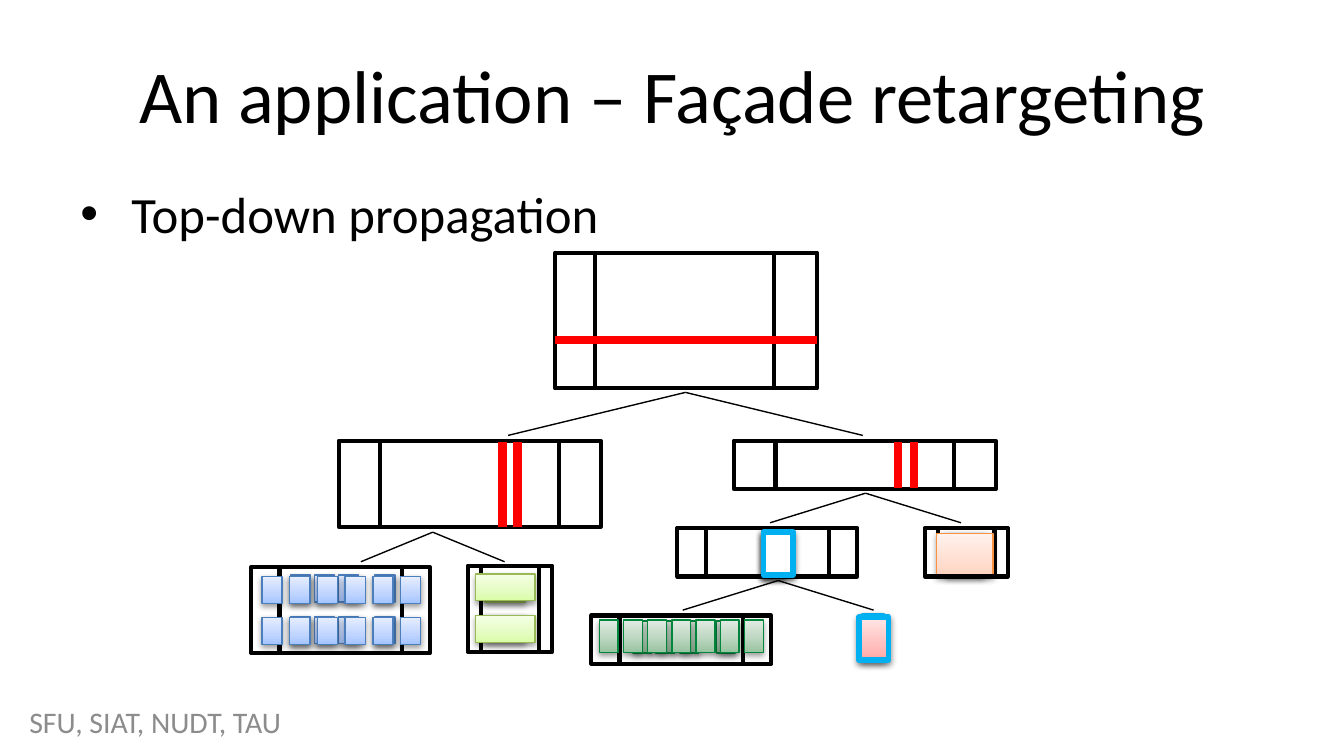
from lxml import etree
from pptx import Presentation
from pptx.dml.color import RGBColor
from pptx.enum.shapes import MSO_CONNECTOR, MSO_SHAPE
from pptx.enum.text import MSO_ANCHOR, PP_ALIGN
from pptx.oxml import parse_xml
from pptx.oxml.ns import nsdecls, qn
from pptx.util import Inches, Pt

RECTANGLE = MSO_SHAPE.RECTANGLE
STRAIGHT = MSO_CONNECTOR.STRAIGHT
LEFT, CENTER = PP_ALIGN.LEFT, PP_ALIGN.CENTER
TOP, MIDDLE = MSO_ANCHOR.TOP, MSO_ANCHOR.MIDDLE
color = RGBColor.from_string

deck = Presentation()
deck.slide_width = Inches(10)
deck.slide_height = deck.slide_width * 9 // 16
page = deck.slides.add_slide(deck.slide_layouts[6])

# Grid of 100 columns; rows are as tall as columns are wide
COLUMN = ROW = deck.slide_width / 100

# Style: gradient stops (position, colour), line colour, line width
STYLES = {
    "frame": ([], "000000", 2.25),
    "blue": ([(0, "A4C4FF"), (35, "BFD4FF"), (100, "E6EEFF")], "4B7EBC", 0.75),
    "lime": ([(0, "DAFDA7"), (35, "E4FCC2"), (100, "F5FFE7")], "98B955", 0.75),
    "orange": ([(0, "FFD2BD"), (35, "FFDED0"), (100, "FFF2ED")], "F69240", 0.75),
    "green": ([(0, "97C39F"), (50, "C1D9C5"), (100, "E1ECE3")], "00863D", 0.75),
    "door": ([(0, "FFA6A5"), (35, "FFC0BF"), (100, "FFE7E7")], "00B0F0", 3),
    "gap": ([(0, "FFFFFF")], "00B0F0", 3),
}
SHADOW = (f'<a:effectLst {nsdecls("a")}><a:outerShdw blurRad="40000" dist="20000" '
          'dir="5400000" rotWithShape="0"><a:srgbClr val="000000">'
          '<a:alpha val="38000"/></a:srgbClr></a:outerShdw></a:effectLst>')


def add_block(style, left, top, width, height):
    stops, line_color, line_width = STYLES[style]
    block = page.shapes.add_shape(RECTANGLE, round(left * COLUMN), round(top * ROW),
                                  round(width * COLUMN), round(height * ROW))
    block.line.color.rgb = color(line_color)
    block.line.width = Pt(line_width)
    block.shadow.inherit = False
    if not stops:
        block.fill.background()
        return
    block.fill.solid()
    block.fill.fore_color.rgb = color(stops[0][1])
    properties = block.element.spPr
    if len(stops) > 1:
        marks = "".join(f'<a:gs pos="{position * 1000}"><a:srgbClr val="{tone}"/></a:gs>'
                        for position, tone in stops)
        properties.replace(properties.find(qn("a:solidFill")), parse_xml(
            f'<a:gradFill {nsdecls("a")} rotWithShape="1"><a:gsLst>{marks}</a:gsLst>'
            '<a:lin ang="16200000" scaled="0"/></a:gradFill>'))
    properties.replace(properties.find(qn("a:effectLst")), parse_xml(SHADOW))


def add_line(left, top, right, bottom, line_color="000000", width=0.75):
    line = page.shapes.add_connector(STRAIGHT, round(left * COLUMN), round(top * ROW),
                                     round(right * COLUMN), round(bottom * ROW))
    line.line.color.rgb = color(line_color)
    line.line.width = Pt(width)
    etree.SubElement(line.element.spPr, qn("a:effectLst"))


# Title, bullet and footer
for text, left, top, width, height, size, tone, align, anchor in [
    ("An application – Façade retargeting", 5, 2.3, 90, 9.4, 40, "000000", CENTER, MIDDLE),
    ("Top-down propagation", 5, 13.1, 90, 4.9, 27.2, "000000", LEFT, TOP),
    ("SFU, SIAT, NUDT, TAU", 1.2, 52.2, 23.6, 3, 16, "8C8C8C", LEFT, MIDDLE),
]:
    box = page.shapes.add_textbox(round(left * COLUMN), round(top * ROW),
                                  round(width * COLUMN), round(height * ROW))
    box.text_frame.word_wrap = True
    box.text_frame.vertical_anchor = anchor
    para = box.text_frame.paragraphs[0]
    para.text = text
    para.alignment = align
    if anchor == TOP:
        indent = para._p.get_or_add_pPr()
        indent.set("marL", str(Inches(0.38)))
        indent.set("indent", str(-Inches(0.38)))
        etree.SubElement(indent, qn("a:buFont")).set("typeface", "Arial")
        etree.SubElement(indent, qn("a:buChar")).set("char", "•")
    para.font.name = "Calibri"
    para.font.size = Pt(size)
    para.font.color.rgb = color(tone)

# Tree branches: apex, half spread, drop
for apex, top, spread, drop in [(51, 29.2, 13.2, 3.2), (32.2, 39.6, 5.35, 2.2),
                                (64.4, 36.7, 7.1, 2.2), (57.9, 43.2, 7.1, 2.2)]:
    for side in (-1, 1):
        add_line(apex, top, apex + side * spread, top + drop)

# Façade parts before and after widening: style, lefts, tops, width, height
BEFORE = [
    ("frame", [44.3], [18.8], 13.3, 10.1),
    ("blue", [21.6, 23.4, 25.2, 27.9], [42.8, 45.9], 1.5, 2),
    ("frame", [20.8], [42.2], 9.1, 6.4),
    ("lime", [36.1], [42.8, 45.8], 3, 2),
    ("frame", [35.8], [42.1], 4.3, 6.4),
    ("frame", [28.3], [32.8], 13.3, 6.4),
    ("frame", [57.7], [32.8], 13.3, 3.6),
    ("orange", [70.4], [39.7], 2.8, 3.2),
    ("frame", [69.8], [39.3], 4.2, 3.6),
    ("door", [64.2], [45.8], 1.5, 3.2),
    ("green", [47.1, 48.8, 53.3], [46.2], 1.4, 2.4),
    ("frame", [46.1], [45.8], 9.2, 3.6),
    ("green", [50.6], [46.2], 1.4, 2.4),
    ("blue", [56.8], [39.7], 1.5, 3.2),
    ("frame", [52.5], [39.3], 9.2, 3.6),
    ("gap", [56.8], [39.6], 1.5, 3.2),
]
AFTER = [
    ("frame", [41.3], [18.8], 19.5, 10.1),
    ("frame", [25.2], [32.8], 19.5, 6.4),
    ("frame", [18.7], [42.2], 13.3, 6.4),
    ("blue", [19.5 + 2.06 * number for number in range(6)], [42.9, 45.95], 1.5, 2),
    ("lime", [35.4], [42.7, 45.8], 4.4, 2),
    ("frame", [34.8], [42.1], 6.3, 6.4),
    ("frame", [54.6], [32.8], 19.5, 3.6),
    ("blue", [56.8], [39.7], 2.2, 3.2),
    ("frame", [50.4], [39.3], 13.4, 3.6),
    ("gap", [56.8], [39.6], 2.2, 3.2),
    ("orange", [69.7], [39.7], 4.2, 3.2),
    ("frame", [68.8], [39.3], 6.2, 3.6),
    ("green", [44.6 + 1.8 * number for number in range(7)], [46.15], 1.4, 2.4),
    ("frame", [44], [45.8], 13.4, 3.6),
    ("door", [63.9], [45.9], 2.2, 3.2),
]
for style, lefts, tops, width, height in BEFORE + AFTER:
    for top in tops:
        for left in lefts:
            add_block(style, left, top, width, height)

# Red split lines, before and after
for ends in [(44.3, 25.3, 57.7, 25.3), (41.3, 25.3, 60.8, 25.3),
             (37.4, 32.9, 37.4, 39.2), (38.5, 32.9, 38.5, 39.2),
             (66.8, 32.9, 66.8, 36.3), (68, 32.9, 68, 36.3)]:
    add_line(*ends, "FF0000", 4.5)

deck.save("out.pptx")
